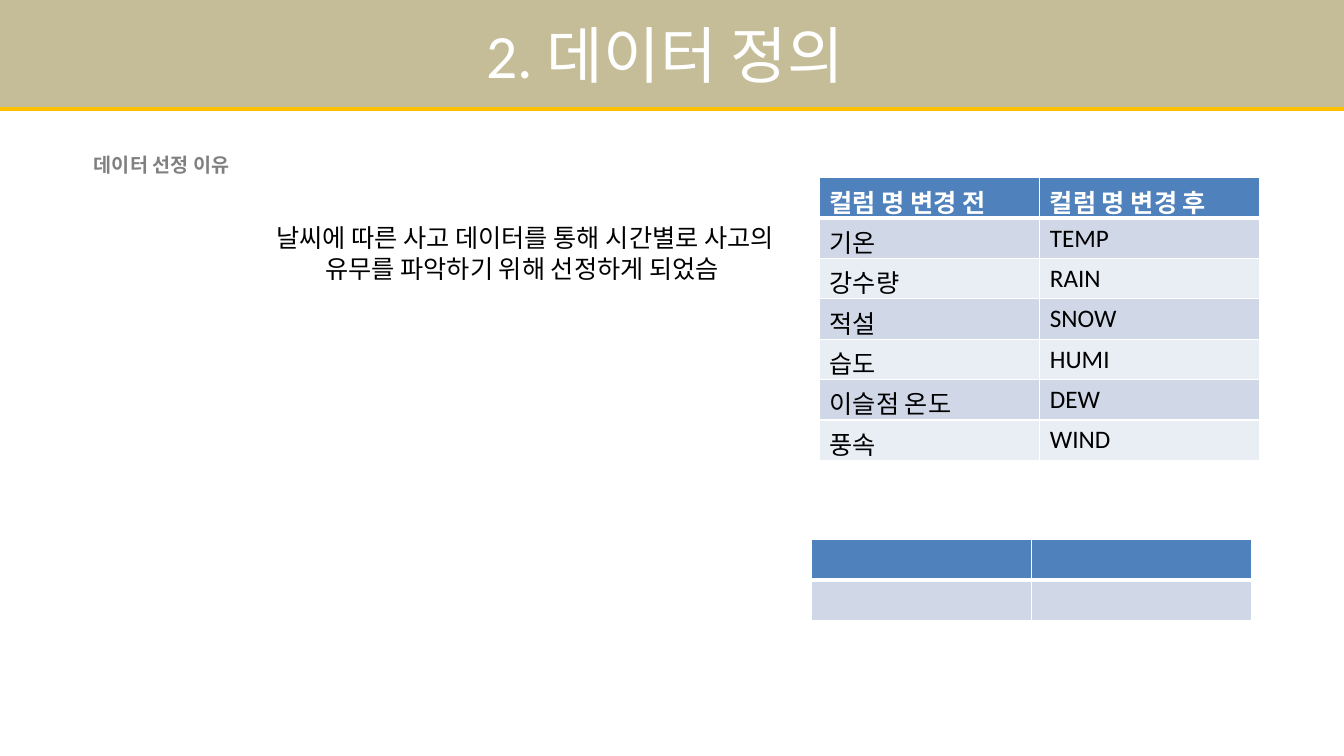
from lxml import etree
from pptx import Presentation
from pptx import util as u
from pptx.dml.color import RGBColor
from pptx.enum import shapes, text
from pptx.oxml import ns

COLORS = {
    "white": "FFFFFF", "black": "000000", "gray": "808080", "khaki": "C4BD97",
    "gold": "FFC000", "header": "4F81BD", "odd": "D0D8E8", "even": "E9EDF4",
}
COLUMN_NAMES = [
    ("컬럼 명 변경 전", "컬럼 명 변경 후"),
    ("기온", "TEMP"),
    ("강수량", "RAIN"),
    ("적설", "SNOW"),
    ("습도", "HUMI"),
    ("이슬점 온도", "DEW"),
    ("풍속", "WIND"),
]


def rgb(name):
    """Return the named colour."""
    return RGBColor.from_string(COLORS[name])


def sub(parent, tag, **attrs):
    """Append a DrawingML child element and return it."""
    child = etree.SubElement(parent, ns.qn(f"a:{tag}"))
    for key, value in attrs.items():
        child.set(key, str(value))
    return child


def write(tf, words, size=18, color="black", bold=False,
          align=text.PP_ALIGN.LEFT, spacing=None):
    """Write one formatted paragraph into a text frame."""
    p = tf.paragraphs[0]
    p.alignment = align
    p.line_spacing = spacing
    r = p.add_run()
    r.text = words
    r.font.name = "Calibri"
    r.font.size = u.Pt(size)
    r.font.bold = bold
    r.font.color.rgb = rgb(color)


def add_label(s, x, y, w, h, words, **fmt):
    """Place a wrapping text box."""
    tf = s.shapes.add_textbox(u.Pt(x), u.Pt(y), u.Pt(w), u.Pt(h)).text_frame
    tf.word_wrap = True
    write(tf, words, **fmt)


def add_title_band(s, x, y, w, h, words):
    """Place the title band with its hard shadow below."""
    sp = s.shapes.add_shape(shapes.MSO_SHAPE.RECTANGLE,
                            u.Pt(x), u.Pt(y), u.Pt(w), u.Pt(h))
    sp.fill.solid()
    sp.fill.fore_color.rgb = rgb("khaki")
    sp.line.fill.background()
    sp.shadow.inherit = False
    effects = sp.element.spPr.find(ns.qn("a:effectLst"))
    shadow = sub(effects, "outerShdw", blurRad=0, dist=u.Pt(3), dir=5400000,
                 algn="t", rotWithShape=0)
    sub(shadow, "srgbClr", val=COLORS["gold"])
    sp.text_frame.vertical_anchor = text.MSO_ANCHOR.MIDDLE
    write(sp.text_frame, words, size=44, color="white",
          align=text.PP_ALIGN.CENTER)


def style_cell(cell, row):
    """Set the white borders and the banded fill of a cell."""
    widths = {"lnL": 1, "lnR": 1, "lnT": 3 if row == 1 else 1,
              "lnB": 3 if row == 0 else 1}
    tc_pr = cell._tc.get_or_add_tcPr()
    for side, width in widths.items():
        line = sub(tc_pr, side, w=u.Pt(width))
        sub(sub(line, "solidFill"), "srgbClr", val=COLORS["white"])
    band = "odd" if row % 2 else "even"
    cell.fill.solid()
    cell.fill.fore_color.rgb = rgb(band if row else "header")


def add_banded_table(s, x, y, w, h, rows):
    """Place a table with a header row and even rows and columns."""
    table = s.shapes.add_table(len(rows), len(rows[0]), u.Pt(x), u.Pt(y),
                               u.Pt(w), u.Pt(h)).table
    for row, values in enumerate(rows):
        table.rows[row].height = u.Pt(h / len(rows))
        for col, words in enumerate(values):
            cell = table.cell(row, col)
            style_cell(cell, row)
            if words:
                write(cell.text_frame, words, bold=row == 0,
                      color="black" if row else "white")


def add_definition_slide(prs):
    """Build the data definition slide."""
    s = prs.slides.add_slide(prs.slide_layouts[6])
    add_label(s, 60, 97, 227.5, 30, "데이터 선정 이유", size=14, color="gray",
              bold=True, spacing=1.5)
    add_title_band(s, 0, 0, 960, 76.3, "2. 데이터 정의 ")
    add_label(s, 185, 155.5, 380, 51,
              "날씨에 따른 사고 데이터를 통해 시간별로 사고의 유무를 "
              "파악하기 위해 선정하게 되었슴 ", align=text.PP_ALIGN.CENTER)
    add_banded_table(s, 585.5, 127, 314.5, 201.6, COLUMN_NAMES)
    add_banded_table(s, 579.75, 385.5, 314.5, 57.6, [("", ""), ("", "")])


def main():
    """Create and save the presentation."""
    prs = Presentation()
    prs.slide_width, prs.slide_height = u.Pt(960), u.Pt(540)
    add_definition_slide(prs)
    prs.save("out.pptx")


if __name__ == "__main__":
    main()
